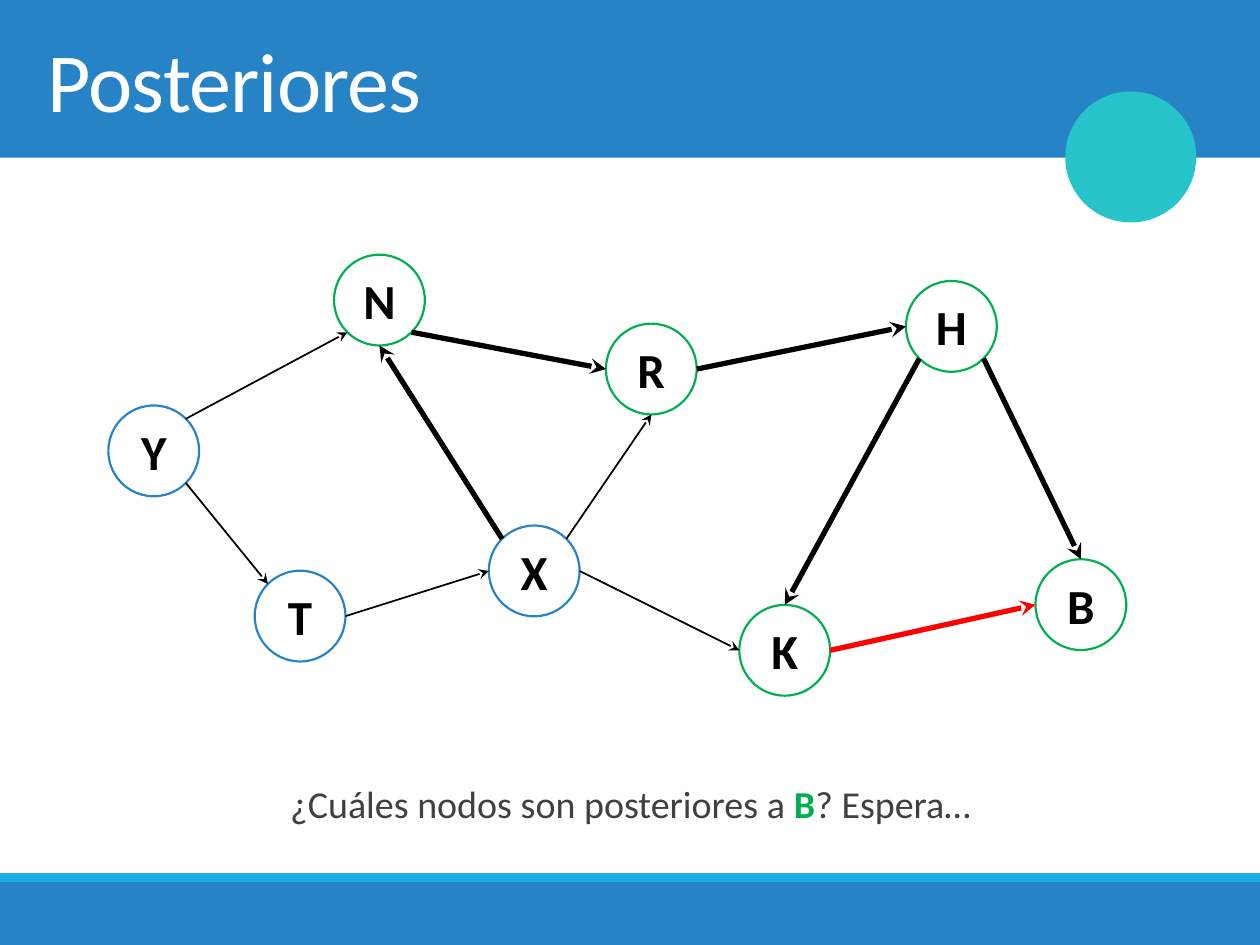
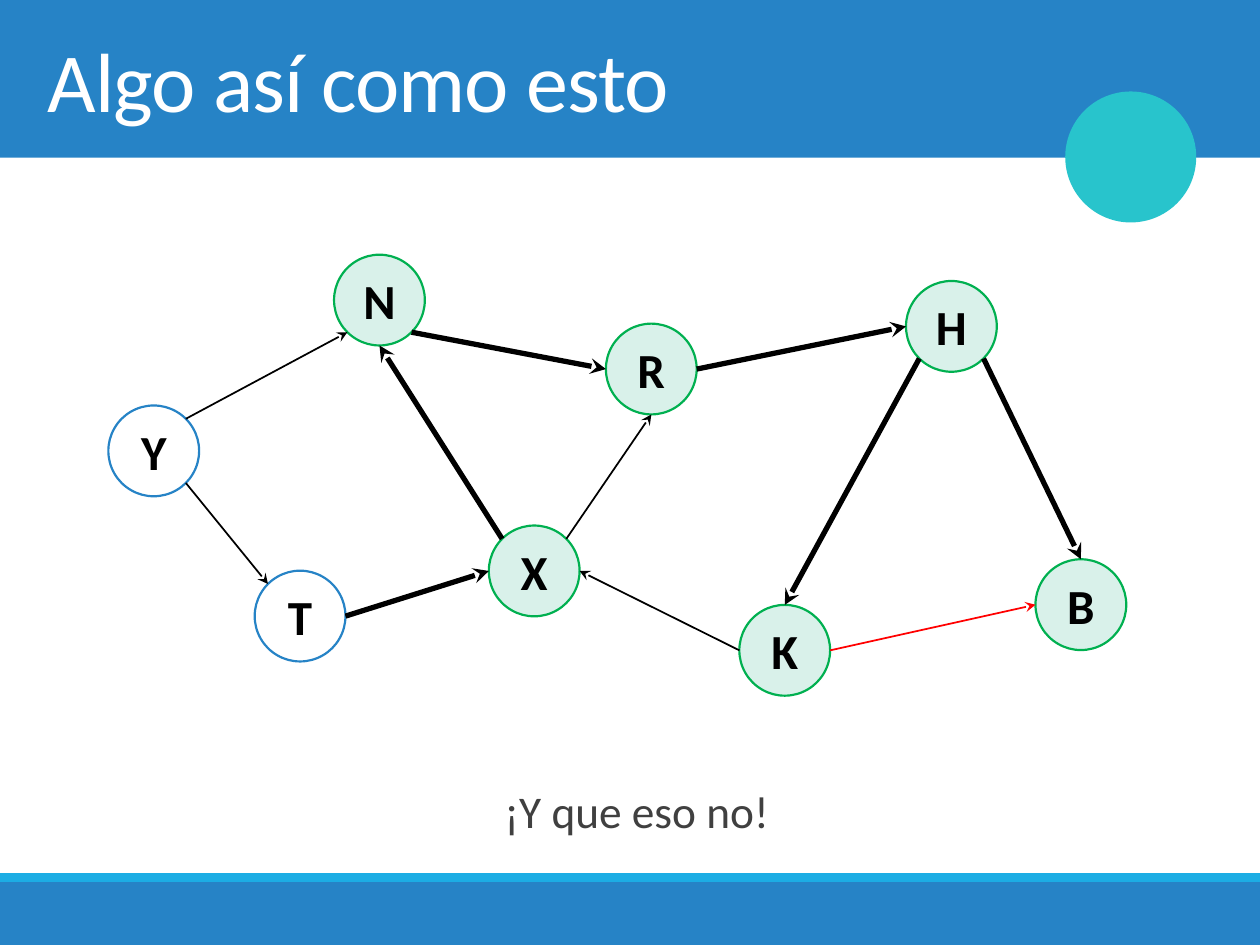
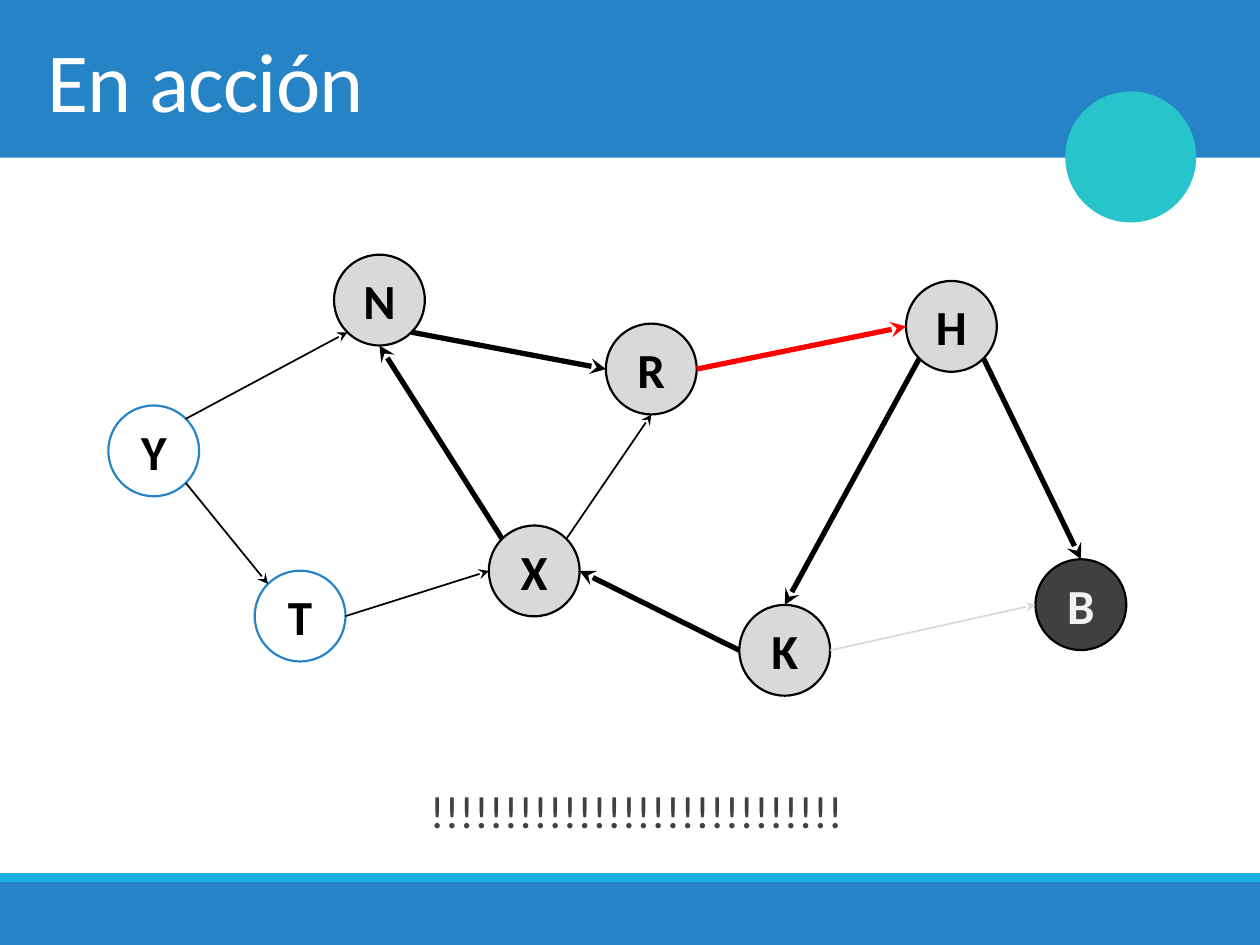
from dataclasses import dataclass, field
from enum import Enum
from math import sqrt

from lxml.etree import SubElement
from pptx import Presentation
from pptx.dml.color import RGBColor
from pptx.enum.shapes import MSO_CONNECTOR, MSO_SHAPE
from pptx.enum.text import MSO_ANCHOR, MSO_AUTO_SIZE, PP_ALIGN
from pptx.oxml.ns import qn
from pptx.util import Cm, Pt


# Colours and type sizes
@dataclass(frozen=True)
class Theme:
    font: str = "Calibri"
    white: str = "FFFFFF"
    black: str = "000000"
    blue: str = "2683C6"
    sky: str = "1CADE4"
    teal: str = "28C4CC"
    green: str = "00B050"
    mint: str = "D9F1EA"
    red: str = "FF0000"
    silver: str = "D9D9D9"
    charcoal: str = "404040"
    pale: str = "F2F2F2"
    title_size: float = 48
    node_size: float = 28
    question_size: float = 21.7
    exclamation_size: float = 25.9


THEME = Theme()


# Shared frame: left, top, width, height in centimetres
@dataclass(frozen=True)
class Panel:
    kind: MSO_SHAPE
    box: tuple[float, float, float, float]
    color: str
    outline: float = 0


PANELS = (
    Panel(MSO_SHAPE.RECTANGLE, (0, 0, 25.4, 3.18), THEME.blue),
    Panel(MSO_SHAPE.RECTANGLE, (0, 17.78, 25.4, 1.27), THEME.blue),
    Panel(MSO_SHAPE.RECTANGLE, (0, 17.6, 25.4, 0.18), THEME.sky),
    Panel(MSO_SHAPE.OVAL, (21.51, 1.88, 2.57, 2.57), THEME.teal, 2),
)
TITLE_BOX = (0.71, 0, 24, 3.18)
CAPTION_BOX = (0.71, 15.34, 24, 1.6)

# Graph: node centres in centimetres
DIAMETER = 1.83
CENTERS = {
    "Y": (3.1, 9.09), "N": (7.65, 6.05), "T": (6.05, 12.42), "X": (10.77, 11.51),
    "R": (13.13, 7.44), "K": (15.82, 13.11), "H": (19.18, 6.58), "B": (21.79, 12.19),
}
DIAGONAL = 1 / sqrt(2)


class Side(Enum):
    """Direction from a node's centre to a point on its rim."""
    TOP = (0, -1)
    BOTTOM = (0, 1)
    LEFT = (-1, 0)
    RIGHT = (1, 0)
    TOP_LEFT = (-DIAGONAL, -DIAGONAL)
    TOP_RIGHT = (DIAGONAL, -DIAGONAL)
    BOTTOM_LEFT = (-DIAGONAL, DIAGONAL)
    BOTTOM_RIGHT = (DIAGONAL, DIAGONAL)


EDGES = {
    "YN": (Side.TOP_RIGHT, Side.BOTTOM_LEFT),
    "YT": (Side.BOTTOM_RIGHT, Side.TOP_LEFT),
    "NR": (Side.BOTTOM_RIGHT, Side.LEFT),
    "TX": (Side.RIGHT, Side.LEFT),
    "XR": (Side.TOP_RIGHT, Side.BOTTOM),
    "RH": (Side.RIGHT, Side.LEFT),
    "HK": (Side.BOTTOM_LEFT, Side.TOP),
    "XN": (Side.TOP_LEFT, Side.BOTTOM),
    "XK": (Side.RIGHT, Side.LEFT),
    "KB": (Side.RIGHT, Side.LEFT),
    "HB": (Side.BOTTOM_RIGHT, Side.TOP),
}
ALWAYS_BOLD = {"NR", "RH", "HK", "XN", "HB"}


@dataclass(frozen=True)
class NodeLook:
    fill: str
    line: str
    text: str = THEME.black


PLAIN = NodeLook(THEME.white, THEME.blue)
CANDIDATE = NodeLook(THEME.white, THEME.green)
REACHED = NodeLook(THEME.mint, THEME.green)
VISITED = NodeLook(THEME.silver, THEME.black)
FINISHED = NodeLook(THEME.charcoal, THEME.black, THEME.pale)


@dataclass(frozen=True)
class GraphPage:
    title: str
    caption: tuple[str, ...]  # every second piece is emphasised
    caption_size: float
    looks: dict[str, NodeLook]
    bold_edges: set[str]
    edge_colors: dict[str, str]
    reversed_edges: set[str] = field(default_factory=set)
    bulleted: bool = True


PAGES = (
    GraphPage(
        "Posteriores", ("¿Cuáles nodos son posteriores a ", "B", "? Espera…"),
        THEME.question_size, dict.fromkeys("NRKHB", CANDIDATE),
        {"KB"}, {"KB": THEME.red}, bulleted=False,
    ),
    GraphPage(
        "Algo así como esto", ("¡Y que eso no!",),
        THEME.exclamation_size, dict.fromkeys("NXRKHB", REACHED),
        {"TX"}, {"KB": THEME.red}, {"XK"},
    ),
    GraphPage(
        "En acción", ("!" * 28,),
        THEME.exclamation_size, dict.fromkeys("NXRKH", VISITED) | {"B": FINISHED},
        {"XK"}, {"RH": THEME.red, "KB": THEME.silver}, {"XK"},
    ),
)


def rgb(color: str) -> RGBColor:
    return RGBColor.from_string(color)


def style_span(span, size: float, color: str, bold: bool = False) -> None:
    span.font.name = THEME.font
    span.font.size = Pt(size)
    span.font.bold = bold
    span.font.color.rgb = rgb(color)


def add_filled_shape(page, kind: MSO_SHAPE, box, fill: str, line: str, width: float):
    shape = page.shapes.add_shape(kind, *map(Cm, box))
    shape.shadow.inherit = False
    shape.fill.solid()
    shape.fill.fore_color.rgb = rgb(fill)
    if width:
        shape.line.color.rgb = rgb(line)
        shape.line.width = Pt(width)
    else:
        shape.line.fill.background()
    return shape


def add_frame(layout, page) -> None:
    """Draw the panels and move them behind the layout's placeholders."""
    for index, panel in enumerate(PANELS):
        shape = add_filled_shape(page, panel.kind, panel.box, panel.color, panel.color, panel.outline)
        layout.shapes.element.insert(2 + index, shape.element)


def place(holder, box, anchor: MSO_ANCHOR):
    holder.left, holder.top, holder.width, holder.height = map(Cm, box)
    frame = holder.text_frame
    frame.auto_size = MSO_AUTO_SIZE.NONE
    frame.word_wrap = True
    frame.vertical_anchor = anchor
    return frame


def fill_title(page, text: str) -> None:
    frame = place(page.shapes.title, TITLE_BOX, MSO_ANCHOR.MIDDLE)
    frame.text = text
    para = frame.paragraphs[0]
    para.alignment = PP_ALIGN.LEFT
    span = para.runs[0]
    style_span(span, THEME.title_size, THEME.white)
    span.font._element.set("spc", "-50")


def set_bullet(para, bulleted: bool) -> None:
    properties = para._p.get_or_add_pPr()
    indent = Cm(0.25) if bulleted else 0
    properties.set("marL", str(indent))
    properties.set("indent", str(-indent))
    if bulleted:
        color = SubElement(properties, qn("a:buClr"))
        SubElement(color, qn("a:srgbClr")).set("val", THEME.sky)
        SubElement(properties, qn("a:buChar")).set("char", " ")
    else:
        SubElement(properties, qn("a:buNone"))


def fill_caption(page, content: GraphPage) -> None:
    frame = place(page.placeholders[1], CAPTION_BOX, MSO_ANCHOR.TOP)
    para = frame.paragraphs[0]
    para.alignment = PP_ALIGN.CENTER
    para.line_spacing = 1.3
    para.space_before, para.space_after = Pt(12), Pt(2)
    set_bullet(para, content.bulleted)
    for index, piece in enumerate(content.caption):
        span = para.add_run()
        span.text = piece
        emphasised = index % 2 == 1
        style_span(span, content.caption_size, THEME.green if emphasised else THEME.charcoal, emphasised)


def add_node(page, name: str, look: NodeLook) -> None:
    x, y = CENTERS[name]
    box = (x - DIAMETER / 2, y - DIAMETER / 2, DIAMETER, DIAMETER)
    node = add_filled_shape(page, MSO_SHAPE.OVAL, box, look.fill, look.line, 1.25)
    frame = node.text_frame
    frame.margin_left = frame.margin_right = 0
    frame.vertical_anchor = MSO_ANCHOR.MIDDLE
    frame.text = name
    para = frame.paragraphs[0]
    para.alignment = PP_ALIGN.CENTER
    style_span(para.runs[0], THEME.node_size, look.text, bold=True)


def rim_point(name: str, side: Side) -> tuple[Cm, Cm]:
    (x, y), (across, down) = CENTERS[name], side.value
    return Cm(x + across * DIAMETER / 2), Cm(y + down * DIAMETER / 2)


def add_edge(page, edge: str, color: str, width: float, is_reversed: bool) -> None:
    ends = [rim_point(name, side) for name, side in zip(edge, EDGES[edge])]
    if is_reversed:
        ends.reverse()
    arrow = page.shapes.add_connector(MSO_CONNECTOR.STRAIGHT, *ends[0], *ends[1])
    arrow.line.color.rgb = rgb(color)
    arrow.line.width = Pt(width)
    SubElement(arrow.line._get_or_add_ln(), qn("a:tailEnd")).set("type", "stealth")
    SubElement(arrow.element.spPr, qn("a:effectLst"))


def build_page(page, content: GraphPage) -> None:
    fill_title(page, content.title)
    fill_caption(page, content)
    for name in CENTERS:
        add_node(page, name, content.looks.get(name, PLAIN))
    for edge in EDGES:
        width = 3 if edge in ALWAYS_BOLD | content.bold_edges else 1
        color = content.edge_colors.get(edge, THEME.black)
        add_edge(page, edge, color, width, edge in content.reversed_edges)


def main() -> None:
    deck = Presentation()
    deck.slide_width, deck.slide_height = Cm(25.4), Cm(19.05)
    layout = deck.slide_layouts[1]
    pages = [deck.slides.add_slide(layout) for _ in PAGES]
    add_frame(layout, pages[0])
    for page, content in zip(pages, PAGES):
        build_page(page, content)
    deck.save("out.pptx")


if __name__ == "__main__":
    main()
